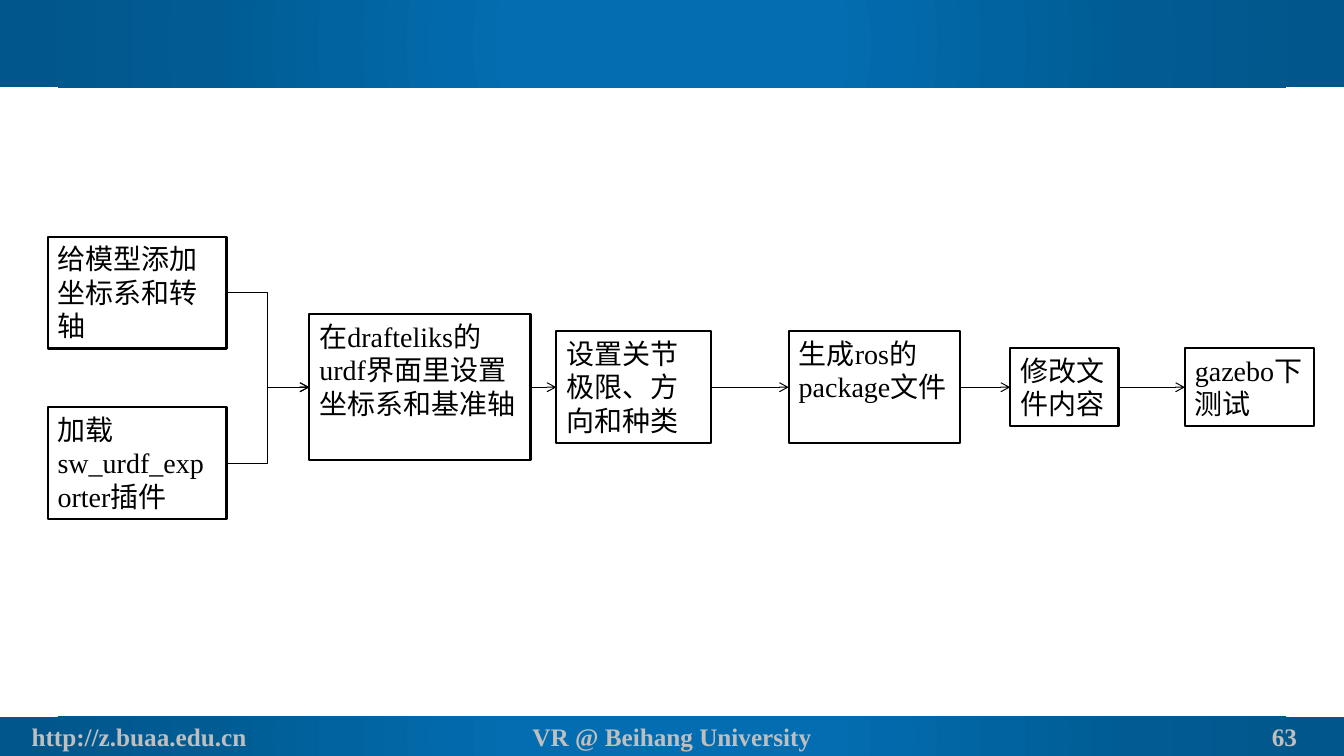
from pptx import Presentation
from pptx.dml.color import RGBColor
from pptx.enum import shapes, text
from pptx.oxml import parse_xml
from pptx.oxml.ns import nsdecls, qn
from pptx.util import Pt

COLORS = {"bright": "026DB0", "mid": "015C94", "deep": "01568B",
          "footer": "BFBFBF", "ink": "000000", "paper": "FFFFFF"}
FONT = "Times New Roman"
WIDTH, HEIGHT = 960, 540
HEADER_H, FOOTER_H = 62.5, 28
ALONG_Y = 276.6


def rgb(name):
    return RGBColor.from_string(COLORS[name])


def write(sp, content, size=20, color="ink", bold=False, align="LEFT",
          anchor="TOP", inset=None):
    tf = sp.text_frame
    tf.word_wrap = True
    tf.vertical_anchor = getattr(text.MSO_ANCHOR, anchor)
    if inset is not None:
        tf.margin_left = tf.margin_right = Pt(inset)
        tf.margin_top = tf.margin_bottom = Pt(inset)
    p = tf.paragraphs[0]
    p.alignment = getattr(text.PP_ALIGN, align)
    r = p.add_run()
    r.text = content
    r.font.name = FONT
    r.font.size = Pt(size)
    r.font.bold = bold
    r.font.color.rgb = rgb(color)


def rectangle(s, x, y, w, h):
    sp = s.shapes.add_shape(shapes.MSO_SHAPE.RECTANGLE, Pt(x), Pt(y), Pt(w), Pt(h))
    sp.shadow.inherit = False
    return sp


def band(s, x, y, w, h):
    sp = rectangle(s, x, y, w, h)
    sp.line.fill.background()
    sp.fill.gradient()
    grad = sp._element.spPr.find(qn("a:gradFill"))
    stops = "".join(
        f'<a:gs pos="{pos}000"><a:srgbClr val="{COLORS[name]}"/></a:gs>'
        for pos, name in ((0, "bright"), (23, "bright"), (69, "mid"), (97, "deep")))
    radial = parse_xml(
        f'<a:gradFill {nsdecls("a")} rotWithShape="1"><a:gsLst>{stops}</a:gsLst>'
        '<a:path path="circle"><a:fillToRect l="50000" t="50000" r="50000" b="50000"/>'
        '</a:path></a:gradFill>')
    grad.getparent().replace(grad, radial)


def footer(s, x, y, w, h):
    band(s, x, y, w, h)
    for left, width, content in ((0, 198.7, "http://z.buaa.edu.cn"),
                                 (366.5, 227, "VR @ Beihang University"),
                                 (875, 85, "63")):
        sp = s.shapes.add_textbox(Pt(x + left), Pt(y), Pt(width), Pt(h))
        write(sp, content, size=18, color="footer", bold=True,
              align="CENTER", anchor="MIDDLE", inset=0)


def step(s, content, x, middle, w, h):
    sp = rectangle(s, x, middle - h / 2, w, h)
    sp.fill.solid()
    sp.fill.fore_color.rgb = rgb("paper")
    sp.line.color.rgb = rgb("ink")
    sp.line.width = Pt(1.5)
    write(sp, content)
    return sp


def arrow(s, start, end, kind="STRAIGHT"):
    c = s.shapes.add_connector(getattr(shapes.MSO_CONNECTOR, kind), 0, 0, 0, 0)
    c.begin_connect(start, 3)
    c.end_connect(end, 1)
    c.line.color.rgb = rgb("ink")
    c.line.width = Pt(0.75)
    c.line._get_or_add_ln().append(
        parse_xml(f'<a:tailEnd {nsdecls("a")} type="arrow"/>'))
    c._element.spPr.append(parse_xml(f'<a:effectLst {nsdecls("a")}/>'))


def workflow(s, x, middle):
    inputs = [step(s, content, x, middle + dy, 127.8, 80)
              for content, dy in (("加载sw_urdf_exporter插件", 54.4),
                                  ("给模型添加坐标系和转轴", -67.6))]
    chain = [step(s, content, x + left, middle, w, h) for content, left, w, h in (
        ("在drafteliks的urdf界面里设置坐标系和基准轴", 187, 158, 104.2),
        ("设置关节极限、方向和种类", 363.4, 110.4, 80),
        ("生成ros的package文件", 529.4, 122.4, 80),
        ("修改文件内容", 687.6, 77.4, 55.6),
        ("gazebo下测试", 812.4, 92, 55.6))]
    for source in inputs:
        arrow(s, source, chain[0], "ELBOW")
    for start, end in zip(chain, chain[1:]):
        arrow(s, start, end)


def main():
    prs = Presentation()
    prs.slide_width, prs.slide_height = Pt(WIDTH), Pt(HEIGHT)
    s = prs.slides.add_slide(prs.slide_layouts[6])
    band(s, 0, 0, WIDTH, HEADER_H)
    footer(s, 0, HEIGHT - FOOTER_H, WIDTH, FOOTER_H)
    workflow(s, 34, ALONG_Y)
    prs.save("out.pptx")


if __name__ == "__main__":
    main()
